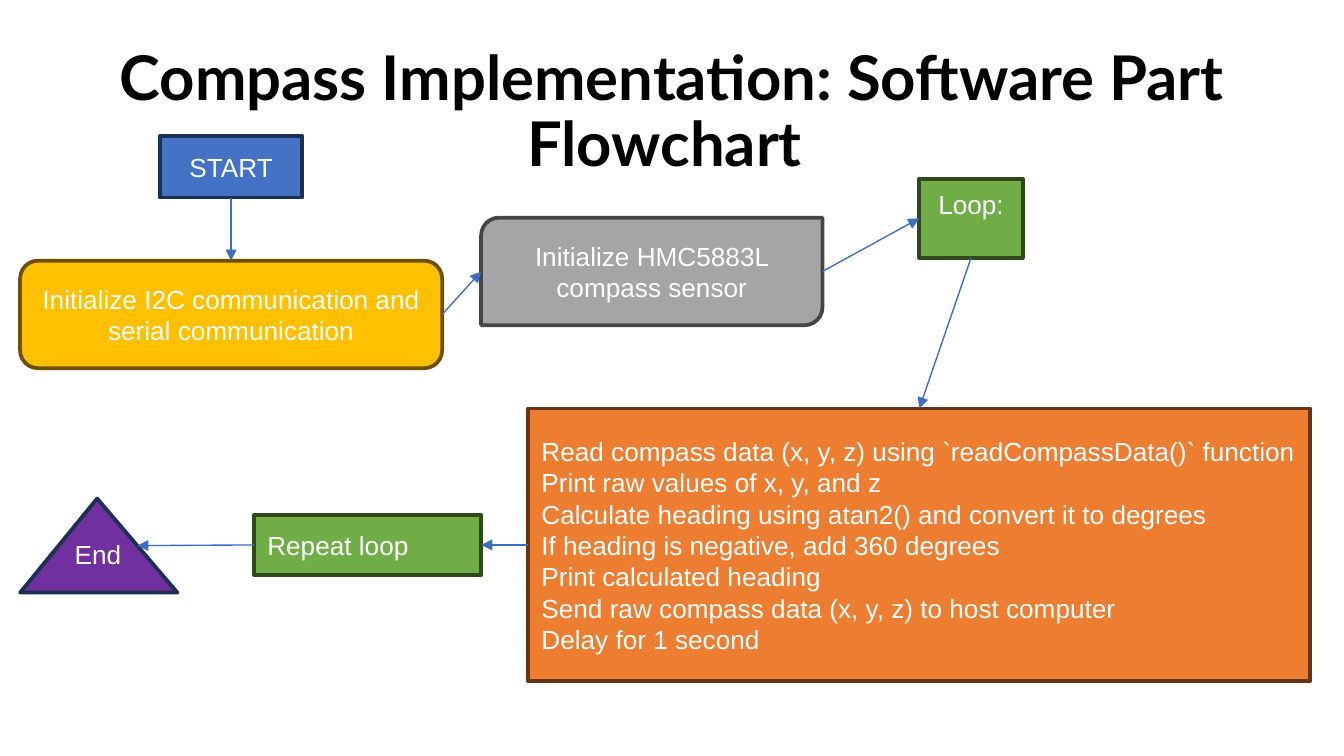
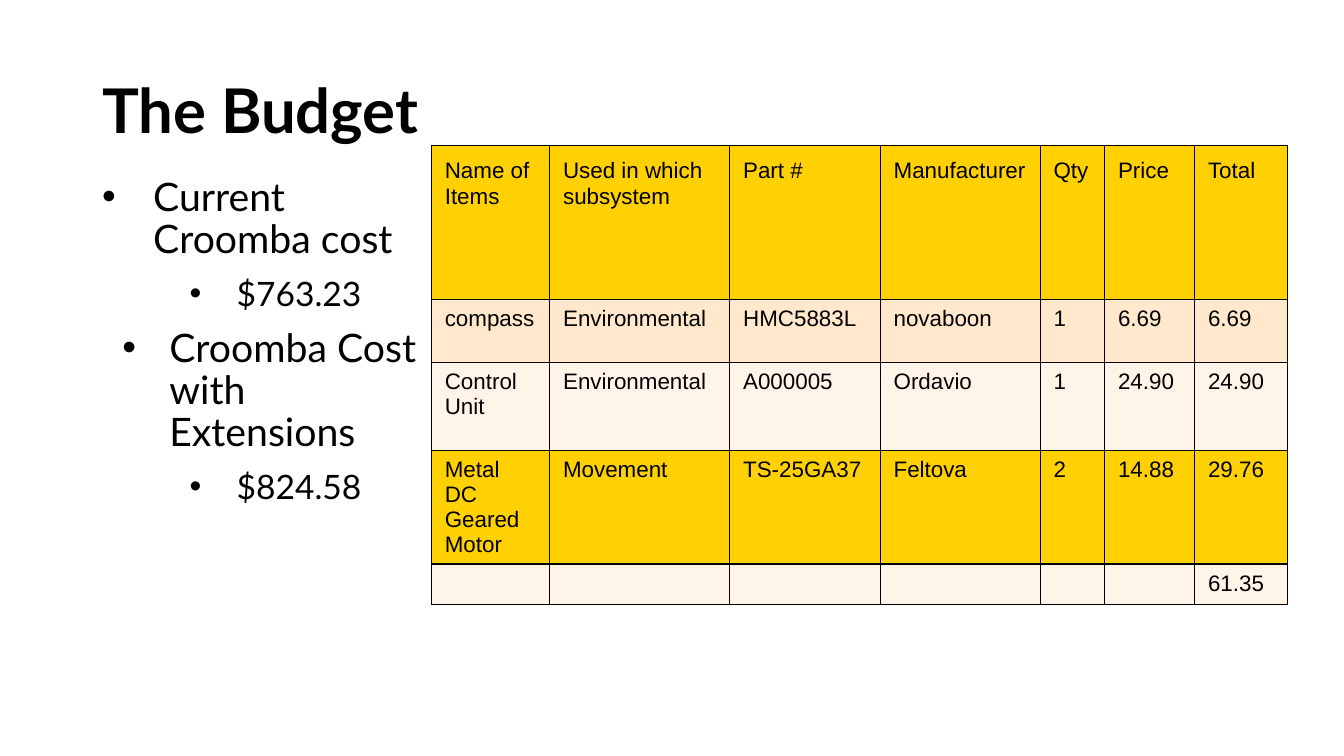
import dataclasses

import lxml.etree
import pptx
import pptx.dml.color
import pptx.enum.shapes
import pptx.enum.text
import pptx.oxml.ns
import pptx.util

Kind = pptx.enum.shapes.MSO_SHAPE
Align = pptx.enum.text.PP_ALIGN
Anchor = pptx.enum.text.MSO_ANCHOR
Fit = pptx.enum.text.MSO_AUTO_SIZE
Pt = pptx.util.Pt
Inches = pptx.util.Inches
TOP, LEFT, BOTTOM, RIGHT = range(4)


@dataclasses.dataclass(frozen=True)
class Theme:
    head: str = "Lato"
    body: str = "Arial"
    ink: str = "000000"
    pale: str = "FFFFFF"
    arrow: str = "3E6EC2"
    # fill and outline of each kind of step
    blue: tuple = ("4472C4", "1C3052")
    gold: tuple = ("FFC000", "6B5100")
    gray: tuple = ("A5A5A5", "454545")
    green: tuple = ("70AD47", "2F491D")
    orange: tuple = ("ED7D31", "643414")
    purple: tuple = ("7030A0", "1C3052")
    # table rows
    strong: str = "FFD103"
    peach: str = "FFE8CB"
    cream: str = "FFF4E7"
    # type sizes
    title: int = 33
    levels: tuple = (21, 18)
    step: int = 14
    cell: int = 12


def rgb(code):
    return pptx.dml.color.RGBColor.from_string(code)


def node(parent, tag, **attrs):
    return lxml.etree.SubElement(parent, pptx.oxml.ns.qn(tag), attrs)


class Deck:
    """Style and current slide; lengths count cells of a grid 100 columns wide."""

    def __init__(self, theme):
        self.theme = theme
        self.prs = pptx.Presentation()
        self.prs.slide_width = Inches(10)
        self.prs.slide_height = self.prs.slide_width * 9 // 16
        self.unit = self.prs.slide_width / 100
        self.slide = None

    def grid(self, *cells):
        return [round(n * self.unit) for n in cells]

    def style(self, para, size, color, font, bold=False):
        for run in para.runs:
            run.font.size = Pt(size)
            run.font.name = font
            run.font.bold = bold
            run.font.color.rgb = rgb(color)

    def pad(self, frame, side, edge):
        frame.margin_left = frame.margin_right = Inches(side)
        frame.margin_top = frame.margin_bottom = Inches(edge)
        frame.word_wrap = True
        frame.auto_size = Fit.NONE

    def page(self, title, align=Align.LEFT):
        self.slide = self.prs.slides.add_slide(self.prs.slide_layouts[5])
        shape = self.slide.shapes.title
        shape.left, shape.top, shape.width, shape.height = self.grid(6.9, 3, 86.2, 10.9)
        frame = shape.text_frame
        frame.text = title
        self.pad(frame, 0.07, 0.04)
        frame.vertical_anchor = Anchor.MIDDLE
        para = frame.paragraphs[0]
        para.alignment = align
        para.line_spacing = 0.9
        self.style(para, self.theme.title, self.theme.ink, self.theme.head, True)

    def step(self, kind, box, text, colors, align=Align.CENTER, lift=0):
        """Add a flowchart step; lift raises the text by adding room below it."""
        shape = self.slide.shapes.add_shape(kind, *self.grid(*box))
        shape.shadow.inherit = False
        shape.fill.solid()
        shape.fill.fore_color.rgb = rgb(colors[0])
        shape.line.color.rgb = rgb(colors[1])
        shape.line.width = Pt(2)
        frame = shape.text_frame
        frame.text = text
        self.pad(frame, 0.1, 0.05)
        frame.margin_bottom = Inches(0.05 + lift)
        frame.vertical_anchor = Anchor.MIDDLE
        for para in frame.paragraphs:
            para.alignment = align
            self.style(para, self.theme.step, self.theme.pale, self.theme.body)
        return shape

    def port(self, shape, side):
        x, y = ((0.5, 0), (0, 0.5), (0.5, 1), (1, 0.5))[side]
        if shape.auto_shape_type == Kind.ISOSCELES_TRIANGLE and side == RIGHT:
            x = (1 + shape.adjustments[0]) / 2
        return round(shape.left + x * shape.width), round(shape.top + y * shape.height)

    def link(self, start, out, end, into):
        line = self.slide.shapes.add_connector(
            pptx.enum.shapes.MSO_CONNECTOR.STRAIGHT,
            *self.port(start, out), *self.port(end, into))
        # only these kinds number their joints top, left, bottom, right
        plain = (Kind.RECTANGLE, Kind.ROUNDED_RECTANGLE)
        if start.auto_shape_type in plain:
            line.begin_connect(start, out)
        if end.auto_shape_type in plain:
            line.end_connect(end, into)
        line.line.color.rgb = rgb(self.theme.arrow)
        line.line.width = Pt(0.75)
        props = line._element.spPr
        node(props.find(pptx.oxml.ns.qn("a:ln")), "a:tailEnd", type="triangle")
        node(props, "a:effectLst")

    def list(self, box, items):
        """Add bullets from (level, left margin, hang, text) in inches."""
        frame = self.slide.shapes.add_textbox(*self.grid(*box)).text_frame
        frame.text = "\n".join(item[-1] for item in items)
        self.pad(frame, 0.07, 0.04)
        for i, (para, item) in enumerate(zip(frame.paragraphs, items)):
            level, left, hang, _ = item
            props = para._p.get_or_add_pPr()
            props.set("marL", str(Inches(left)))
            props.set("indent", str(-Inches(hang)))
            node(node(props, "a:buClr"), "a:srgbClr", val=self.theme.ink)
            node(props, "a:buFont", typeface="Arial")
            node(props, "a:buChar", char="•")
            para.level = level
            para.line_spacing = 0.9
            para.space_before = Pt(8 if i else 0)
            self.style(para, self.theme.levels[level], self.theme.ink, self.theme.head)

    def cell(self, cell, text, fill, edge):
        props = cell._tc.get_or_add_tcPr()
        for tag in ("a:lnL", "a:lnR", "a:lnT", "a:lnB"):
            line = node(props, tag, w=str(Pt(0.75)))
            node(node(line, "a:solidFill"), "a:srgbClr", val=self.theme.ink)
        cell.fill.solid()
        cell.fill.fore_color.rgb = rgb(fill)
        cell.margin_left = cell.margin_right = Inches(0.1)
        cell.margin_top = cell.margin_bottom = Inches(edge)
        para = cell.text_frame.paragraphs[0]
        if text:
            para.text = text
            self.style(para, self.theme.cell, self.theme.ink, self.theme.body)
        else:
            node(para._p, "a:endParaRPr", sz=str(self.theme.cell * 100))

    def table(self, left, top, cols, rows, fills, data):
        box = self.grid(left, top, sum(cols), sum(rows))
        table = self.slide.shapes.add_table(len(rows), len(cols), *box).table
        table.first_row = table.horz_banding = False
        for col, width in zip(table.columns, self.grid(*cols)):
            col.width = width
        for row, height in zip(table.rows, self.grid(*rows)):
            row.height = height
        for r, (fill, line) in enumerate(zip(fills, data)):
            for c, text in enumerate(line):
                self.cell(table.cell(r, c), text, fill, 0.05 if r else 0.1)


def flow(deck):
    look = deck.theme
    deck.page("Compass Implementation: Software Part\vFlowchart ", Align.CENTER)

    # Steps
    start = deck.step(Kind.RECTANGLE, (11.9, 10.1, 10.6, 4.6), "START", look.blue)
    setup = deck.step(Kind.ROUNDED_RECTANGLE, (1.5, 19.4, 31.4, 8),
                      "Initialize I2C communication and serial communication", look.gold)
    sensor = deck.step(Kind.ROUND_2_DIAG_RECTANGLE, (35.8, 16.2, 25.4, 8),
                       "Initialize HMC5883L compass sensor", look.gray)
    loop = deck.step(Kind.RECTANGLE, (68.4, 13.3, 7.7, 5.9), "Loop:", look.green, lift=0.22)
    tasks = "\n".join((
        "Read compass data (x, y, z) using `readCompassData()` function",
        "Print raw values of x, y, and z",
        "Calculate heading using atan2() and convert it to degrees",
        "If heading is negative, add 360 degrees",
        "Print calculated heading",
        "Send raw compass data (x, y, z) to host computer",
        "Delay for 1 second",
    ))
    work = deck.step(Kind.RECTANGLE, (39.3, 30.4, 58.2, 20.3), tasks, look.orange, Align.LEFT)
    again = deck.step(Kind.RECTANGLE, (18.9, 38.3, 16.9, 4.5), "Repeat loop",
                      look.green, Align.LEFT)
    end = deck.step(Kind.ISOSCELES_TRIANGLE, (1.5, 37.1, 11.7, 7), "End",
                    look.purple, lift=0.22)
    end.adjustments[0] = 0.49

    # Arrows
    for link in (
        (start, BOTTOM, setup, TOP),
        (setup, RIGHT, sensor, LEFT),
        (sensor, RIGHT, loop, LEFT),
        (loop, BOTTOM, work, TOP),
        (work, LEFT, again, RIGHT),
        (again, LEFT, end, RIGHT),
    ):
        deck.link(*link)


def budget(deck):
    look = deck.theme
    deck.page("The Budget")

    # Costs
    deck.list((6.9, 12.8, 25.2, 39.5), (
        (0, 0.38, 0.38, "Current Croomba cost"),
        (1, 1, 0.35, "$763.23"),
        (0, 0.5, 0.35, "Croomba Cost with Extensions"),
        (1, 1, 0.35, "$824.58"),
    ))

    # Parts
    deck.table(
        32.1, 10.8,
        cols=(8.8, 13.4, 11.2, 11.9, 4.8, 6.7, 6.9),
        rows=(11.5, 4.7, 6.5, 6.5, 3),
        fills=(look.strong, look.peach, look.cream, look.strong, look.cream),
        data=(
            ("Name of Items", "Used in which subsystem", "Part #", "Manufacturer",
             "Qty", "Price", "Total"),
            ("compass", "Environmental", "HMC5883L", "novaboon", "1", "6.69", "6.69"),
            ("Control Unit", "Environmental", "A000005", "Ordavio", "1", "24.90", "24.90"),
            ("Metal DC Geared Motor", "Movement", "TS-25GA37", "Feltova",
             "2", "14.88", "29.76"),
            ("",) * 6 + ("61.35",),
        ),
    )


def main():
    deck = Deck(Theme())
    flow(deck)
    budget(deck)
    deck.prs.save("out.pptx")


if __name__ == "__main__":
    main()
